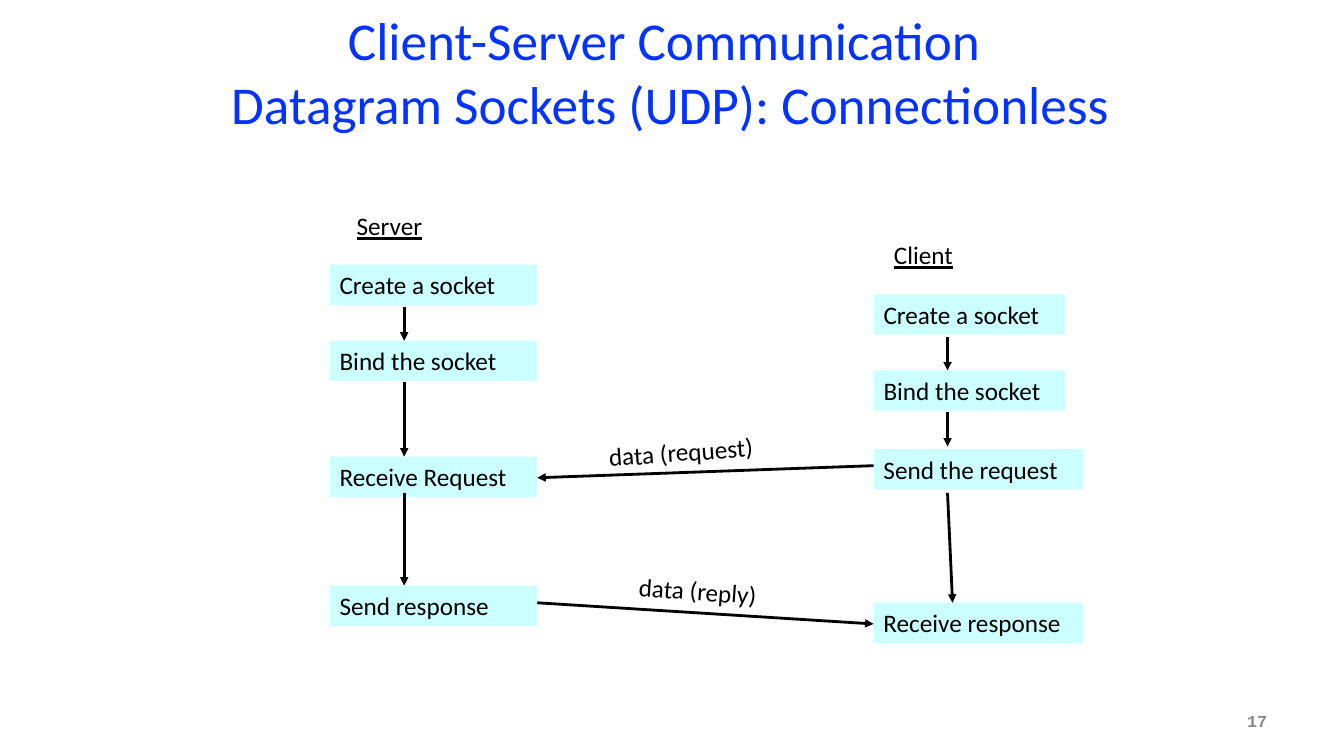
import pptx
import pptx.dml.color
import pptx.enum.shapes
import pptx.enum.text
import pptx.oxml
import pptx.oxml.ns
import pptx.util

COLORS = {"title": "0432FF", "box": "CCFFFF", "ink": "000000", "number": "898989"}
COLUMNS, ROWS = 40, 30
BOX_ROWS = 1.6
ALIGN = pptx.enum.text.PP_ALIGN
ANCHOR = pptx.enum.text.MSO_ANCHOR


def rgb(name):
    """Return the named colour."""
    return pptx.dml.color.RGBColor.from_string(COLORS[name])


def write(sp, text, size=18, font="Calibri", color="ink", bold=False,
          underline=False, align=ALIGN.LEFT, anchor=ANCHOR.TOP, wrap=True):
    """Put formatted text into a shape."""
    tf = sp.text_frame
    tf.word_wrap = wrap
    tf.vertical_anchor = anchor
    p = tf.paragraphs[0]
    p.text = text
    p.alignment = align
    for r in p.runs:
        r.font.size = pptx.util.Pt(size)
        r.font.name = font
        r.font.bold = bold
        r.font.underline = underline
        r.font.color.rgb = rgb(color)


class Diagram:
    """Draws flow elements on a slide, measured in grid columns and rows."""

    def __init__(self, prs):
        """Add a blank slide and work out the grid."""
        self.s = prs.slides.add_slide(prs.slide_layouts[6])
        self.column = prs.slide_width / COLUMNS
        self.row = prs.slide_height / ROWS

    def emu(self, *lengths):
        """Turn alternating columns and rows into slide units."""
        return [round(v * (self.row if i % 2 else self.column))
                for i, v in enumerate(lengths)]

    def label(self, text, x, y, w, h=BOX_ROWS, angle=0, **style):
        """Add a text box, turned by an angle if given."""
        sp = self.s.shapes.add_textbox(*self.emu(x, y, w, h))
        sp.rotation = angle
        write(sp, text, **style)

    def box(self, text, x, y, w):
        """Add a filled step box."""
        sp = self.s.shapes.add_shape(pptx.enum.shapes.MSO_SHAPE.RECTANGLE,
                                     *self.emu(x, y, w, BOX_ROWS))
        sp.shadow.inherit = False
        sp.fill.solid()
        sp.fill.fore_color.rgb = rgb("box")
        sp.line.fill.background()
        write(sp, text)

    def arrow(self, x1, y1, x2, y2):
        """Add a straight arrow that points at its second end."""
        sp = self.s.shapes.add_connector(pptx.enum.shapes.MSO_CONNECTOR.STRAIGHT,
                                         *self.emu(x1, y1, x2, y2))
        sp.line.color.rgb = rgb("ink")
        sp.line.width = pptx.util.Pt(2)
        ln = sp.line._get_or_add_ln()
        head = pptx.oxml.parse_xml(
            f'<a:tailEnd {pptx.oxml.ns.nsdecls("a")} type="triangle"/>')
        ln.append(head)
        effects = pptx.oxml.parse_xml(f'<a:effectLst {pptx.oxml.ns.nsdecls("a")}/>')
        ln.addnext(effects)


prs = pptx.Presentation()
prs.slide_width = pptx.util.Inches(13.33)
prs.slide_height = pptx.util.Inches(7.5)
d = Diagram(prs)

d.label("Client-Server Communication \vDatagram Sockets (UDP): Connectionless",
        5.73, 0.32, 28.44, 5, size=38, color="title",
        align=ALIGN.CENTER, anchor=ANCHOR.MIDDLE)

SERVER, CLIENT = 9.81, 26
SERVER_WIDTH, CLIENT_SHORT, CLIENT_LONG = 6.18, 5.7, 6.24
SERVER_RIGHT = SERVER + SERVER_WIDTH

d.label("Server", 10.32, 8.16, 2.58, underline=True, wrap=False)
d.label("Client", 26.31, 9.32, 2.37, underline=True, wrap=False)

steps = {
    SERVER: [("Create a socket", 10.5, SERVER_WIDTH),
             ("Bind the socket", 13.52, SERVER_WIDTH),
             ("Receive Request", 18.12, SERVER_WIDTH),
             ("Send response", 23.24, SERVER_WIDTH)],
    CLIENT: [("Create a socket", 11.68, CLIENT_SHORT),
             ("Bind the socket", 14.7, CLIENT_SHORT),
             ("Send the request", 17.82, CLIENT_LONG),
             ("Receive response", 23.92, CLIENT_LONG)],
}
for x, column_steps in steps.items():
    for text, y, w in column_steps:
        d.box(text, x, y, w)

server_flow = [(12.2, 13.52), (15.16, 18.12), (19.56, 23.24)]
client_flow = [(13.36, 14.7), (16.36, 17.72)]
for x, flow in ((12.03, server_flow), (28.2, client_flow)):
    for start, end in flow:
        d.arrow(x, start, x, end)
d.arrow(28.2, 19.56, 28.35, 23.92)

d.arrow(CLIENT, 18.48, SERVER_RIGHT, 18.96)
d.label("data (request)", 17.82, 17.12, 4.98, angle=355.8, wrap=False)
d.arrow(SERVER_RIGHT, 23.92, CLIENT, 24.76)
d.label("data (reply)", 18.72, 22.64, 4.17, angle=4.1, wrap=False)

d.label("17", 28.68, 27.8, 9.33, size=12, font="Courier New", color="number",
        bold=True, align=ALIGN.RIGHT, anchor=ANCHOR.MIDDLE)

prs.save("out.pptx")
